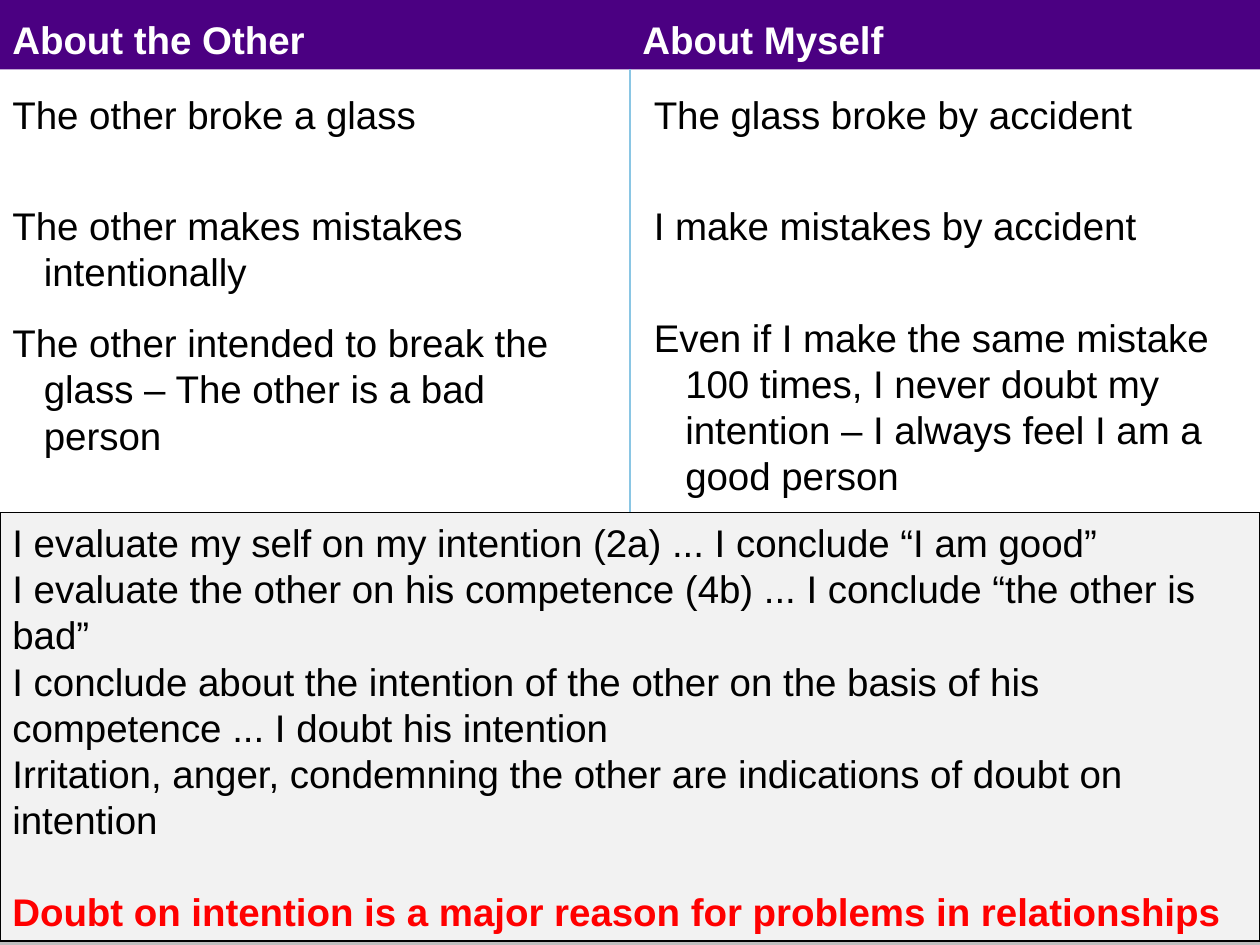
from dataclasses import dataclass

import pptx
import pptx.dml.color
import pptx.enum.shapes
import pptx.enum.text
import pptx.oxml
import pptx.oxml.ns
import pptx.util

COLUMNS, ROWS = 100, 75
CELL = pptx.util.Inches(0.1)


@dataclass(frozen=True)
class Theme:
    """Colours, font and type sizes of the slide."""
    font: str = "Arial"
    size: float = 22
    line_width: float = 0.75
    header: str = "4B0082"
    header_text: str = "FFFFFF"
    footer: str = "BEBEBE"
    divider: str = "8AC6E4"
    panel: str = "F2F2F2"
    text: str = "000000"
    alert: str = "FF0000"


@dataclass(frozen=True)
class Box:
    """An area in grid columns and rows."""
    left: float
    top: float
    width: float
    height: float

    def emu(self):
        """Return left, top, width and height as slide lengths."""
        return [round(n * CELL) for n in (self.left, self.top, self.width, self.height)]


THEME = Theme()
GAP_WIDE, GAP_NARROW, GAP_LINE = 37.3, 14.2, 26.4

OTHER = [
    ("The other broke a glass", 0),
    ("The other makes mistakes intentionally", GAP_WIDE),
    ("The other intended to break the glass – The other is a bad person", GAP_NARROW),
]
MYSELF = [
    ("The glass broke by accident", 0),
    ("I make mistakes by accident", GAP_WIDE),
    ("Even if I make the same mistake 100 times, I never doubt my intention"
     " – I always feel I am a good person", GAP_WIDE),
]
CONCLUSIONS = [
    "I evaluate my self on my intention (2a) ... I conclude “I am good”",
    "I evaluate the other on his competence (4b) ... I conclude “the other is bad”",
    "I conclude about the intention of the other on the basis of his competence"
    " ... I doubt his intention",
    "Irritation, anger, condemning the other are indications of doubt on intention",
]
WARNING = "Doubt on intention is a major reason for problems in relationships"


def rgb(colour):
    """Return the colour object of a hex value."""
    return pptx.dml.color.RGBColor.from_string(colour)


def add_rectangle(slide, box, fill, outline=None):
    """Draw a flat rectangle, outlined only if a colour is given."""
    rectangle = slide.shapes.add_shape(
        pptx.enum.shapes.MSO_SHAPE.RECTANGLE, *box.emu())
    rectangle.shadow.inherit = False
    rectangle.fill.solid()
    rectangle.fill.fore_color.rgb = rgb(fill)
    if outline:
        rectangle.line.color.rgb = rgb(outline)
        rectangle.line.width = pptx.util.Pt(THEME.line_width)
    else:
        rectangle.line.fill.background()
    return rectangle


def prepare_frame(holder):
    """Make the text of a shape wrap and start at the top."""
    frame = holder.text_frame
    frame.word_wrap = True
    frame.vertical_anchor = pptx.enum.text.MSO_ANCHOR.TOP
    return frame


def write(frame, index, text, gap=0, colour=THEME.text, bold=False):
    """Write one left-aligned paragraph and return it."""
    paragraph = frame.add_paragraph() if index else frame.paragraphs[0]
    paragraph.alignment = pptx.enum.text.PP_ALIGN.LEFT
    if gap:
        paragraph.space_before = pptx.util.Pt(gap)
    run = paragraph.add_run()
    run.text = text
    run.font.name = THEME.font
    run.font.size = pptx.util.Pt(THEME.size)
    run.font.bold = bold
    run.font.color.rgb = rgb(colour)
    return paragraph


def add_header(slide, box):
    """Draw the header band with both column titles on one tabbed line."""
    band = add_rectangle(slide, box, THEME.header)
    title_box = Box(box.left, box.top + 0.8, box.width, box.height - 1.3)
    frame = prepare_frame(slide.shapes.add_textbox(*title_box.emu()))
    paragraph = write(frame, 0, "About the Other\tAbout Myself",
                      colour=THEME.header_text, bold=True)
    tabs = pptx.oxml.parse_xml(
        f'<a:tabLst {pptx.oxml.ns.nsdecls("a")}>'
        f'<a:tab pos="{round(box.width / 2 * CELL)}" algn="l"/></a:tabLst>')
    paragraph._p.get_or_add_pPr().append(tabs)
    return band


def add_column(slide, box, statements):
    """Write one column of statements with hanging indents."""
    frame = prepare_frame(slide.shapes.add_textbox(*box.emu()))
    indent = round(2.5 * CELL)
    for index, (text, gap) in enumerate(statements):
        properties = write(frame, index, text, gap)._p.get_or_add_pPr()
        properties.set("marL", str(indent))
        properties.set("indent", str(-indent))


def add_divider(slide, header, bottom):
    """Draw the line that runs down from the middle of the header."""
    middle = round(COLUMNS / 2 * CELL)
    divider = slide.shapes.add_connector(
        pptx.enum.shapes.MSO_CONNECTOR.STRAIGHT,
        middle, header.top + header.height, middle, round(bottom * CELL))
    divider.begin_connect(header, 2)
    divider.line.color.rgb = rgb(THEME.divider)
    divider.line.width = pptx.util.Pt(THEME.line_width)
    divider._element.spPr.append(
        pptx.oxml.parse_xml(f'<a:effectLst {pptx.oxml.ns.nsdecls("a")}/>'))


def add_conclusions(slide, box):
    """Draw the panel of conclusions that closes with the warning."""
    frame = prepare_frame(add_rectangle(slide, box, THEME.panel, THEME.text))
    for index, text in enumerate(CONCLUSIONS):
        write(frame, index, text)
    write(frame, len(CONCLUSIONS), WARNING, GAP_LINE, THEME.alert, bold=True)


def main():
    """Build the slide and save it."""
    deck = pptx.Presentation()
    deck.slide_width, deck.slide_height = COLUMNS * CELL, ROWS * CELL
    slide = deck.slides.add_slide(deck.slide_layouts[6])
    header = add_header(slide, Box(0, 0, COLUMNS, 5.5))
    add_rectangle(slide, Box(0, 71.9, COLUMNS, ROWS - 71.9), THEME.footer)
    add_column(slide, Box(0, 6.7, 49.3, 65), OTHER)
    add_column(slide, Box(50.9, 6.7, 49.1, 65), MYSELF)
    add_divider(slide, header, 72.3)
    add_conclusions(slide, Box(0, 40.7, COLUMNS, 34))
    deck.save("out.pptx")


if __name__ == "__main__":
    main()
